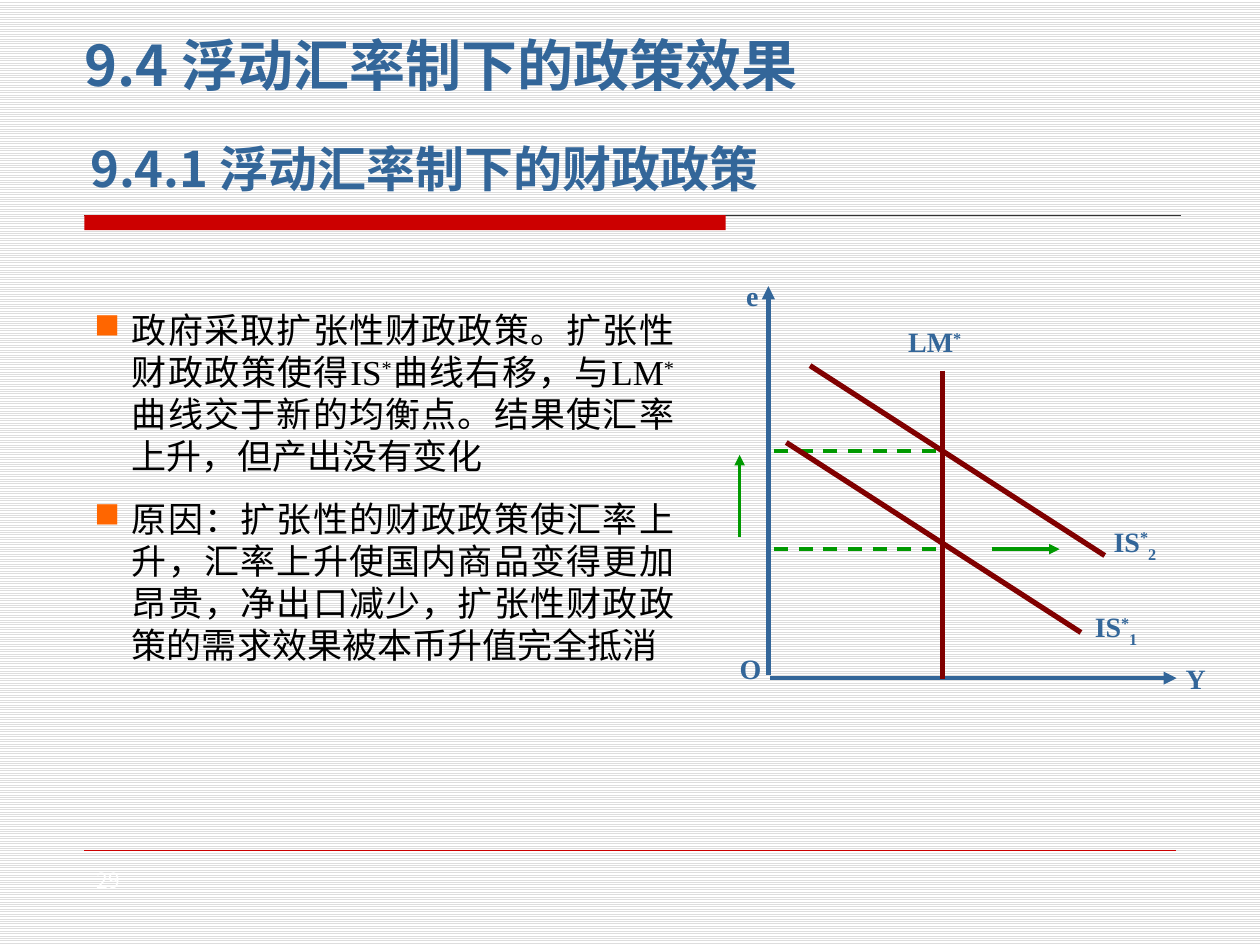
from dataclasses import dataclass

from lxml import etree
from pptx import Presentation
from pptx.dml.color import RGBColor as RGB
from pptx.enum.dml import MSO_LINE_DASH_STYLE as DASH, MSO_PATTERN
from pptx.enum.shapes import MSO_CONNECTOR as CONN, MSO_SHAPE as SHAPE
from pptx.enum.text import MSO_ANCHOR as ANCHOR, PP_ALIGN as ALIGN
from pptx.oxml import parse_xml
from pptx.oxml.ns import nsdecls, qn
from pptx.util import Cm, Pt


@dataclass(frozen=True)
class Theme:
    blue: str = "336699"
    red: str = "CC0000"
    maroon: str = "800000"
    green: str = "009900"
    orange: str = "FF6600"
    black: str = "000000"
    dark: str = "333333"
    stripe: str = "DDDDDD"
    white: str = "FFFFFF"
    cjk: str = "Noto Sans CJK SC"
    latin: str = "Times New Roman"
    title: int = 32
    subtitle: int = 28
    body: int = 20
    label: int = 16
    number: int = 12


T = Theme()

prs = Presentation()
prs.slide_width, prs.slide_height = Cm(25.4), Cm(19.05)
s = prs.slides.add_slide(prs.slide_layouts[6])


def add_run(p, text, font, size, color, bold=False, base=0):
    r = p.add_run()
    r.text = text
    r.font.name, r.font.size, r.font.bold = font, Pt(size), bold
    r.font.color.rgb = RGB.from_string(color)
    rPr = r.font._element
    etree.SubElement(rPr, qn("a:ea")).set("typeface", font)
    if base:
        rPr.set("baseline", str(base * 1000))
    return r


def add_line(x1, y1, x2, y2, color, width, arrow=False, dash=False):
    c = s.shapes.add_connector(CONN.STRAIGHT, Cm(x1), Cm(y1), Cm(x2), Cm(y2))
    c.line.color.rgb = RGB.from_string(color)
    c.line.width = Pt(width)
    if dash:
        c.line.dash_style = DASH.DASH
    if arrow:
        etree.SubElement(c.line._get_or_add_ln(), qn("a:tailEnd")).set("type", "triangle")
    etree.SubElement(c._element.spPr, qn("a:effectLst"))


# Striped background
fill = s.background.fill
fill.patterned()
fill.pattern = MSO_PATTERN.LIGHT_HORIZONTAL
fill.fore_color.rgb = RGB.from_string(T.stripe)
fill.back_color.rgb = RGB.from_string(T.white)

# Title rule and footer rule
add_line(1.7, 4.34, 23.8, 4.34, T.dark, 0.75)
bar = s.shapes.add_shape(SHAPE.RECTANGLE, Cm(1.7), Cm(4.34), Cm(12.93), Cm(0.3))
bar.shadow.inherit = False
bar.fill.solid()
bar.fill.fore_color.rgb = RGB.from_string(T.red)
bar.line.fill.background()
add_line(1.7, 17.15, 23.7, 17.15, T.red, 0.25)

# Titles with a soft text shadow
SHADOW = (f'<a:effectLst {nsdecls("a")}><a:outerShdw dist="35921" dir="2700000">'
          '<a:srgbClr val="B2B2B2"/></a:outerShdw></a:effectLst>')
for text, x, y, w, h, size, spacing in [
    ("9.4 浮动汇率制下的政策效果", 1.45, 0.66, 16.92, 1.5, T.title, 0.8),
    ("9.4.1 浮动汇率制下的财政政策", 1.57, 2.87, 17.32, 1.19, T.subtitle, 0.9),
]:
    tf = s.shapes.add_textbox(Cm(x), Cm(y), Cm(w), Cm(h)).text_frame
    tf.word_wrap, tf.vertical_anchor = True, ANCHOR.MIDDLE
    p = tf.paragraphs[0]
    p.line_spacing = spacing
    r = add_run(p, text, T.cjk, size, T.blue, bold=True)
    r.font._element.find(qn("a:solidFill")).addnext(parse_xml(SHADOW))

# Bulleted explanation
BULLETS = [
    [("政府采取扩张性财政政策。扩张性财政政策使得", T.cjk, 0),
     ("IS", T.latin, 0), ("*", T.latin, 30),
     ("曲线右移，与", T.cjk, 0),
     ("LM", T.latin, 0), ("*", T.latin, 30),
     ("曲线交于新的均衡点。结果使汇率上升，但产出没有变化", T.cjk, 0)],
    [("原因：扩张性的财政政策使汇率上升，汇率上升使国内商品变得更加昂贵，"
      "净出口减少，扩张性财政政策的需求效果被本币升值完全抵消", T.cjk, 0)],
]
tf = s.shapes.add_textbox(Cm(1.65), Cm(6.1), Cm(12.19), Cm(7.72)).text_frame
tf.word_wrap = True
for i, runs in enumerate(BULLETS):
    p = tf.add_paragraph() if i else tf.paragraphs[0]
    p.alignment, p.space_before, p.line_spacing = ALIGN.JUSTIFY, Pt(12), Pt(24)
    pPr = p._p.get_or_add_pPr()
    pPr.set("marL", str(Cm(0.76)))
    pPr.set("indent", str(-Cm(0.76)))
    color = etree.SubElement(pPr, qn("a:buClr"))
    etree.SubElement(color, qn("a:srgbClr")).set("val", T.orange)
    etree.SubElement(pPr, qn("a:buChar")).set("char", "■")
    for text, font, base in runs:
        add_run(p, text, font, T.body, T.black, base=base)

# Axes
add_line(15.49, 13.61, 15.49, 5.77, T.blue, 2.5, arrow=True)
add_line(15.52, 13.67, 23.72, 13.67, T.blue, 2.5, arrow=True)

# Equilibrium levels of the exchange rate
for y in (11.07, 9.09):
    add_line(18.87, y, 15.49, y, T.green, 2, dash=True)

# LM curve, then IS curves before and after the shift
add_line(19, 7.47, 19, 13.69, T.maroon, 3)
for x, y in [(15.85, 8.92), (16.33, 7.37)]:
    add_line(x, y, x + 5.94, y + 3.83, T.maroon, 3)

# Arrows for the rise in e and the shift of IS
add_line(14.91, 10.82, 14.91, 9.17, T.green, 2, arrow=True)
add_line(19.99, 11.07, 21.36, 11.07, T.green, 2, arrow=True)

# Labels: name, superscript, subscript
for name, sup, sub, x, y, w, h in [
    ("e", "", "", 15.04, 5.61, 0.51, 0.71),
    ("O", "", "", 14.91, 13.13, 0.94, 0.94),
    ("Y", "", "", 23.9, 13.34, 0.94, 0.94),
    ("LM", "*", "", 18.31, 6.55, 1.52, 0.94),
    ("IS", "*", "2", 22.45, 10.57, 1.52, 0.94),
    ("IS", "*", "1", 22.07, 12.29, 1.02, 0.94),
]:
    tf = s.shapes.add_textbox(Cm(x), Cm(y), Cm(w), Cm(h)).text_frame
    tf.word_wrap = True
    tf.margin_left = tf.margin_right = tf.margin_top = tf.margin_bottom = 0
    for text, base in [(name, 0), (sup, 30), (sub, -30)]:
        if text:
            add_run(tf.paragraphs[0], text, T.latin, T.label, T.blue, True, base)

# Page number
tf = s.shapes.add_textbox(Cm(1.7), Cm(17.3), Cm(2), Cm(0.9)).text_frame
tf.word_wrap, tf.vertical_anchor = True, ANCHOR.MIDDLE
add_run(tf.paragraphs[0], "29", T.cjk, T.number, T.white)

prs.save("out.pptx")
